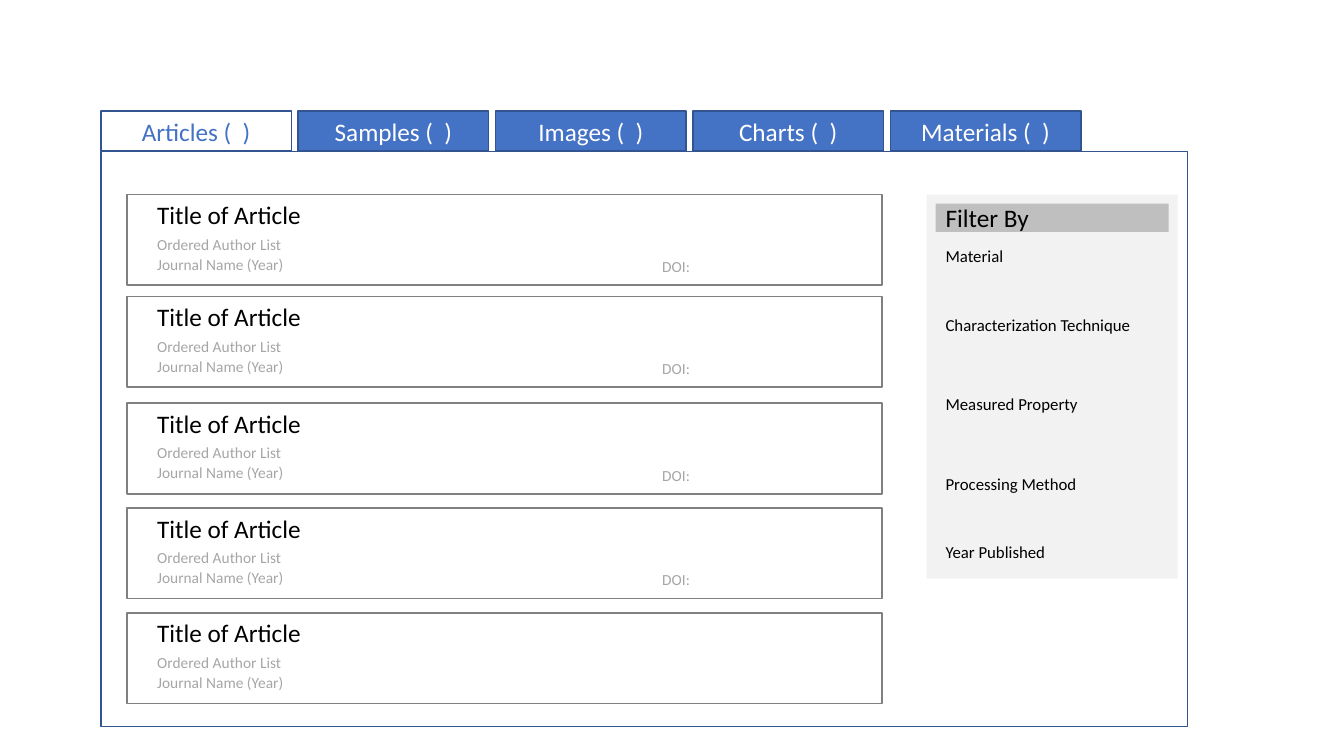
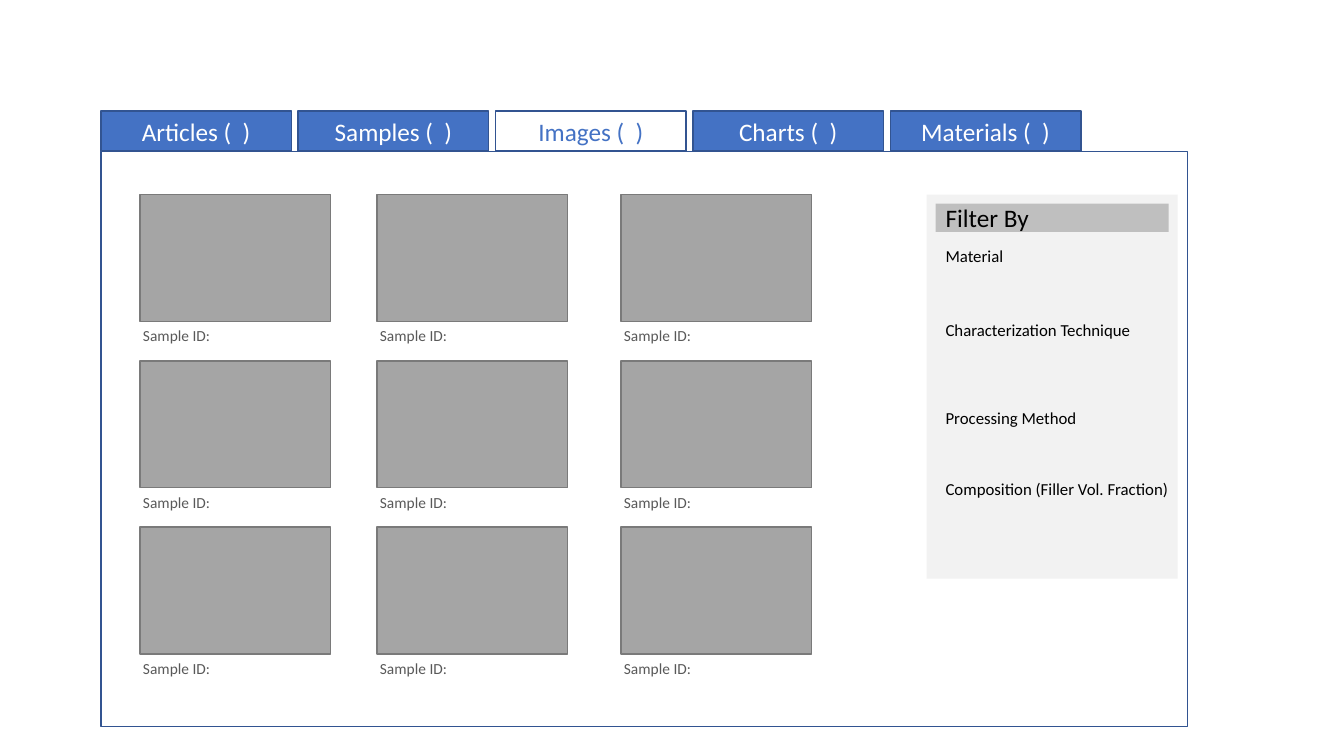
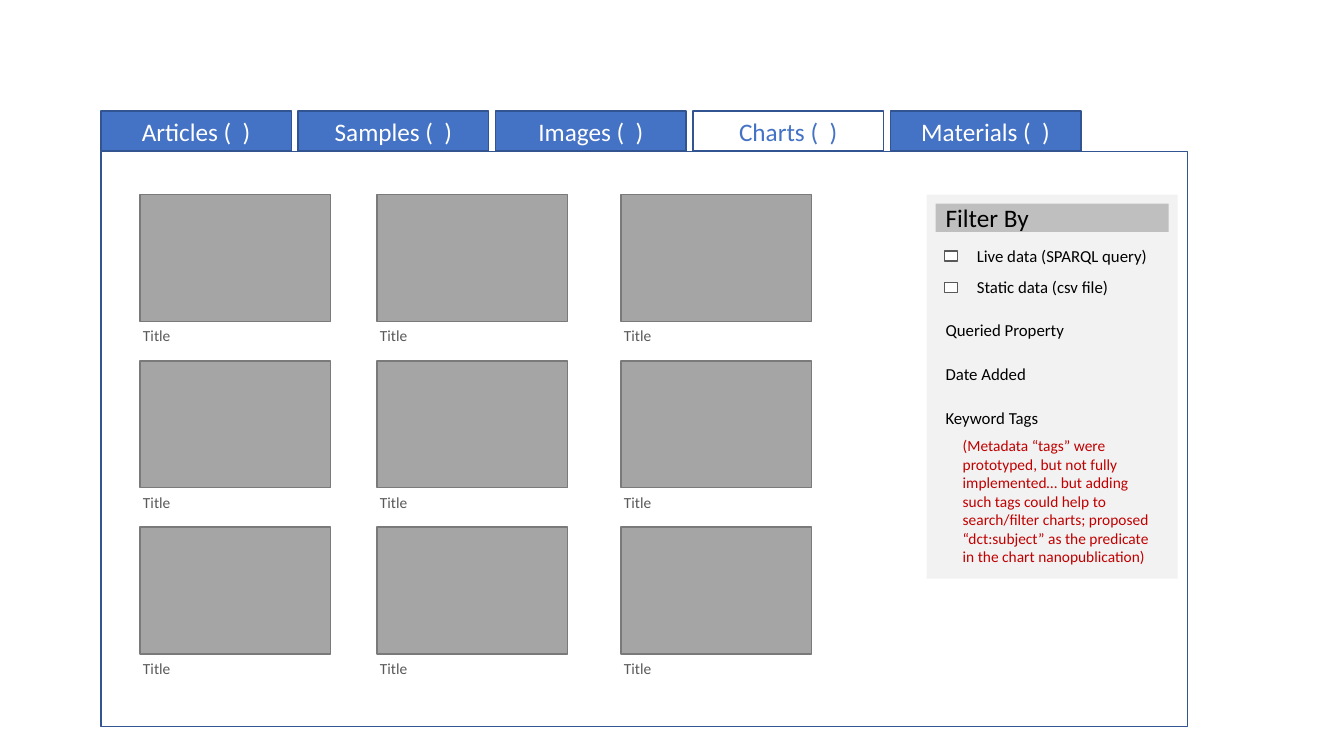
import pptx
import pptx.util
import pptx.dml.color
import pptx.enum.shapes
import pptx.enum.text

Inches = pptx.util.Inches
Pt = pptx.util.Pt
RGBColor = pptx.dml.color.RGBColor
MSO_SHAPE = pptx.enum.shapes.MSO_SHAPE
PP_ALIGN = pptx.enum.text.PP_ALIGN
MSO_ANCHOR = pptx.enum.text.MSO_ANCHOR
MSO_AUTO_SIZE = pptx.enum.text.MSO_AUTO_SIZE

# Palette
WHITE = RGBColor(0xFF, 0xFF, 0xFF)
BLACK = RGBColor(0x00, 0x00, 0x00)
BLUE = RGBColor(0x44, 0x72, 0xC4)
DARK_BLUE = RGBColor(0x32, 0x54, 0x91)
PANEL_GRAY = RGBColor(0xF2, 0xF2, 0xF2)
HEADER_GRAY = RGBColor(0xBF, 0xBF, 0xBF)
DETAIL_GRAY = RGBColor(0xA6, 0xA6, 0xA6)
CARD_LINE = RGBColor(0x80, 0x80, 0x80)
TILE_FILL = RGBColor(0xA5, 0xA5, 0xA5)
TILE_LINE = RGBColor(0x7A, 0x7A, 0x7A)
CAPTION_GRAY = RGBColor(0x59, 0x59, 0x59)
NOTE_RED = RGBColor(0xC0, 0x00, 0x00)

# Shared layout, in inches
TABS = ["Articles (  )", "Samples (  )", "Images (  )", "Charts (  )", "Materials (  )"]
TAB_LEFT, LAST_TAB_LEFT = 1, 8.83
TAB_PITCH = (LAST_TAB_LEFT - TAB_LEFT) / (len(TABS) - 1)
CONTENT_TOP = 1.93
FILTER_LEFT, FILTER_WIDTH = 9.28, 2.31
CARD_TOPS = [1.93, 2.94, 4, 5.04, 6.08]
TILE_LEFTS = [1.39, 3.74, 6.16]
TILE_WIDTH, TILE_HEIGHT, TILE_PITCH = 1.89, 1.26, 1.65


class Wireframe:
    """Holds the style and the slide being drawn."""

    font = "Calibri"

    def __init__(self):
        self.deck = pptx.Presentation()
        self.deck.slide_width = Inches(13.33)
        self.deck.slide_height = Inches(7.5)
        self.shapes = None

    def set_text(self, frame, words, size, color, align=PP_ALIGN.LEFT):
        paragraph = frame.paragraphs[0]
        paragraph.text = words
        paragraph.alignment = align
        paragraph.font.name = self.font
        paragraph.font.size = Pt(size)
        paragraph.font.color.rgb = color

    def box(self, left, top, width, height, fill=None, line=None, parent=None):
        box = (parent or self.shapes).add_shape(
            MSO_SHAPE.RECTANGLE, Inches(left), Inches(top), Inches(width), Inches(height))
        box.shadow.inherit = False
        if fill is None:
            box.fill.background()
        else:
            box.fill.solid()
            box.fill.fore_color.rgb = fill
        if line is None:
            box.line.fill.background()
        else:
            box.line.color.rgb = line
            box.line.width = Pt(1)
        return box

    def label(self, words, left, top, width, height=0.3, size=12, color=BLACK, parent=None):
        label = (parent or self.shapes).add_textbox(
            Inches(left), Inches(top), Inches(width), Inches(height))
        label.text_frame.word_wrap = True
        label.text_frame.auto_size = MSO_AUTO_SIZE.SHAPE_TO_FIT_TEXT
        self.set_text(label.text_frame, words, size, color)

    def banner(self, words, left, top, width, height, color, fill, line=None,
               align=PP_ALIGN.LEFT):
        frame = self.box(left, top, width, height, fill, line).text_frame
        frame.vertical_anchor = MSO_ANCHOR.MIDDLE
        frame.word_wrap = True
        self.set_text(frame, words, 18, color, align)

    def page(self, active_tab):
        """Start a slide with the tabs and an empty filter panel."""
        self.shapes = self.deck.slides.add_slide(self.deck.slide_layouts[6]).shapes
        self.box(1, 1.5, 10.78, 5.71, WHITE, DARK_BLUE)
        for i, tab in enumerate(TABS):
            color, fill = (BLUE, WHITE) if i == active_tab else (WHITE, BLUE)
            self.banner(tab, TAB_LEFT + i * TAB_PITCH, 1.1, 1.89, 0.4,
                        color, fill, DARK_BLUE, PP_ALIGN.CENTER)
        self.box(9.19, CONTENT_TOP, 2.49, 3.81, PANEL_GRAY)
        self.banner("Filter By", FILTER_LEFT, 2.02, FILTER_WIDTH, 0.28, BLACK, HEADER_GRAY)

    def filters(self, entries):
        for words, top, width in entries:
            self.label(words, FILTER_LEFT, top, width)

    def checkbox(self, words, top):
        self.box(9.37, top + 0.1, 0.13, 0.1, WHITE, CAPTION_GRAY)
        self.label(words, 9.59, top, 2)

    def article_card(self, top, has_doi):
        card = self.shapes.add_group_shape().shapes
        details = dict(height=0.29, size=11, color=DETAIL_GRAY, parent=card)
        self.label("Title of Article", 1.46, top, 2.29, 0.4, 18, parent=card)
        self.label("Ordered Author List", 1.46, top + 0.35, 5.81, **details)
        self.label("Journal Name (Year)", 1.46, top + 0.55, 5.81, **details)
        self.box(1.26, top, 7.49, 0.9, line=CARD_LINE, parent=card)
        if has_doi:
            self.label("DOI:", 6.47, top + 0.57, 2.03, **details)

    def gallery(self, caption):
        for row in range(3):
            top = CONTENT_TOP + row * TILE_PITCH
            for left in TILE_LEFTS:
                tile = self.shapes.add_group_shape().shapes
                self.box(left, top, TILE_WIDTH, TILE_HEIGHT, TILE_FILL, TILE_LINE, tile)
                self.label(caption, left - 0.07, top + TILE_HEIGHT, 2.03, 0.29,
                           11, CAPTION_GRAY, tile)


def main():
    wireframe = Wireframe()

    # Articles
    wireframe.page(active_tab=0)
    wireframe.filters([
        ("Material", 2.39, 1.36),
        ("Characterization Technique", 3.07, FILTER_WIDTH),
        ("Measured Property", 3.86, FILTER_WIDTH),
        ("Processing Method", 4.65, FILTER_WIDTH),
        ("Year Published", 5.33, FILTER_WIDTH),
    ])
    for top in CARD_TOPS:
        wireframe.article_card(top, has_doi=top != CARD_TOPS[-1])

    # Images
    wireframe.page(active_tab=2)
    wireframe.filters([
        ("Material", 2.39, 1.36),
        ("Characterization Technique", 3.12, FILTER_WIDTH),
        ("Processing Method", 4, FILTER_WIDTH),
        ("Composition (Filler Vol. Fraction)", 4.7, 2.49),
    ])
    wireframe.gallery("Sample ID:")

    # Charts
    wireframe.page(active_tab=3)
    wireframe.checkbox("Live data (SPARQL query)", 2.39)
    wireframe.checkbox("Static data (csv file)", 2.7)
    wireframe.filters([
        ("Queried Property", 3.12, FILTER_WIDTH),
        ("Date Added", 3.56, FILTER_WIDTH),
        ("Keyword Tags", 4, FILTER_WIDTH),
    ])
    wireframe.label(
        "(Metadata “tags” were prototyped, but not fully implemented… but adding such tags "
        "could help to search/filter charts; proposed “dct:subject” as the predicate in the "
        "chart nanopublication)", 9.45, 4.28, 2.14, 1.4, 11, NOTE_RED)
    wireframe.gallery("Title")

    wireframe.deck.save("out.pptx")


if __name__ == "__main__":
    main()
